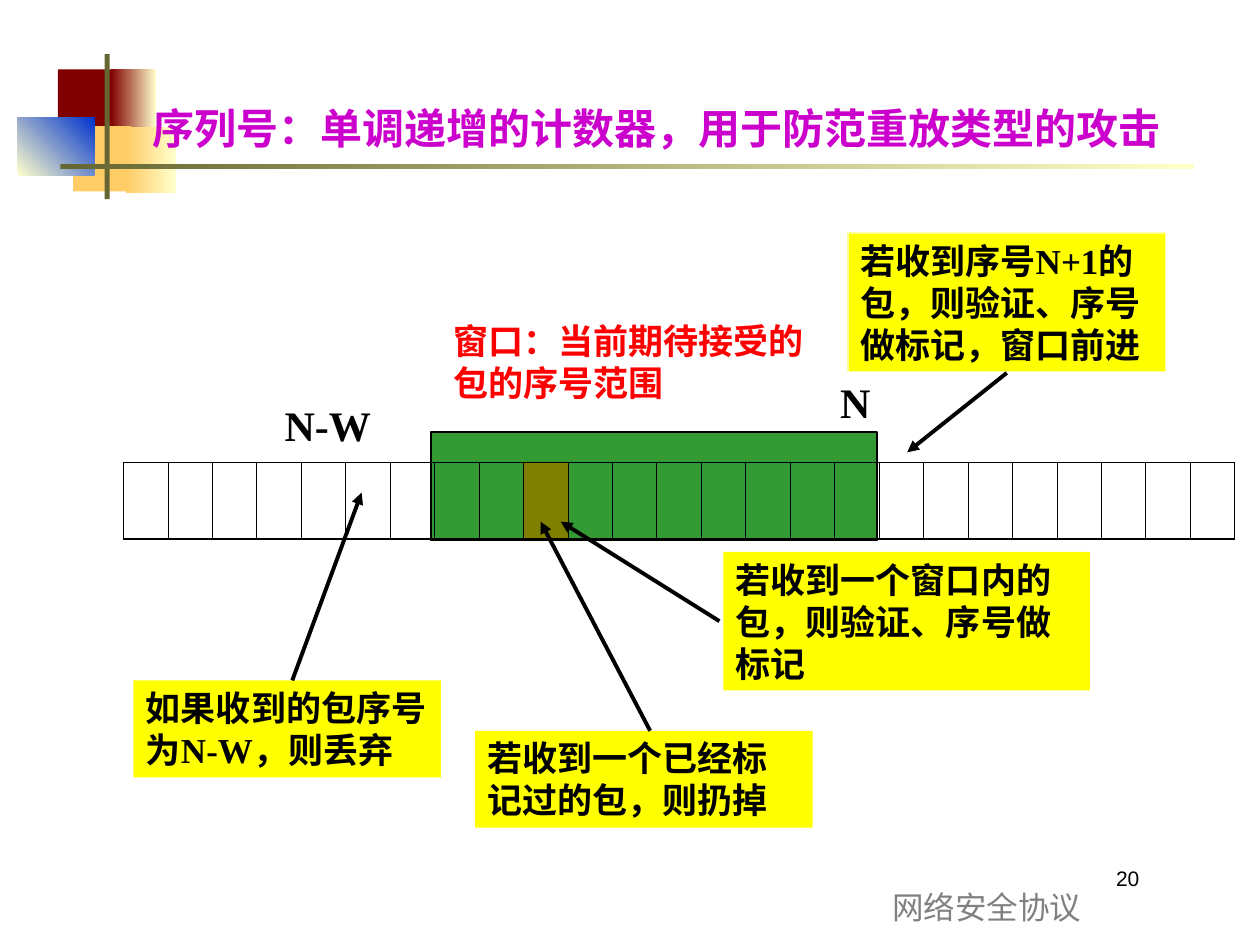
from pptx import Presentation
from pptx.dml.color import RGBColor
from pptx.enum.shapes import MSO_CONNECTOR, MSO_SHAPE
from pptx.enum.text import MSO_ANCHOR, PP_ALIGN
from pptx.oxml.ns import qn
from pptx.util import Inches, Pt
from lxml import etree

RECTANGLE = MSO_SHAPE.RECTANGLE
STRAIGHT = MSO_CONNECTOR.STRAIGHT
TOP, MIDDLE = MSO_ANCHOR.TOP, MSO_ANCHOR.MIDDLE
LEFT, CENTER = PP_ALIGN.LEFT, PP_ALIGN.CENTER

THEME = {
    "black": "000000", "red": "FF0000", "title": "CC00CC", "footer": "808080",
    "note": "FFFF00", "note_edge": "FFFF99", "window": "339933", "marked": "808000",
    "maroon": "800000", "cream": "FFFFCC", "orange": "FFCC66", "blue": "0033CC",
    "olive": "666633",
    "sans": "Arial", "serif": "Times New Roman", "chinese": "Noto Sans CJK SC",
    "number_size": 12, "footer_size": 18, "note_size": 20, "label_size": 24,
    "note_leading": 24, "thin": 0.45, "edge": 1.08, "arrow": 2.25,
}

TITLE = ("序列号：单调递增的计数器，用于防范重放类型的攻击", (1.11, 0.6, 8.5, 0.66))

# Place, colours from start to end, gradient angle
ORNAMENTS = [
    ((0.46, 0.55, 0.48, 0.52), ["maroon"], 0),
    ((0.88, 0.55, 0.36, 0.52), ["maroon", "cream"], 0),
    ((0.58, 1, 0.46, 0.52), ["orange"], 0),
    ((1, 1.01, 0.4, 0.52), ["orange", "cream"], 0),
    ((0.14, 0.93, 0.61, 0.46), ["cream", "blue"], 45),
    ((0.83, 0.43, 0.04, 1.15), ["olive"], 0),
    ((0.48, 1.3, 9, 0.04), ["olive", "cream"], 0),
]

WINDOW = (3.42, 3.43, 3.54, 0.86)
SEQUENCE = (0.98, 3.67, 8.82, 0.61)
SLOTS, MARKED_SLOT = 25, 9

# Text, place, edge colour
NOTES = [
    ("如果收到的包序号为N-W，则丢弃", (1.06, 5.4, 2.44, 0.77), None),
    ("若收到一个窗口内的包，则验证、序号做标记", (5.74, 4.38, 2.91, 1.1), None),
    ("若收到一个已经标记过的包，则扔掉", (3.77, 5.8, 2.68, 0.77), None),
    ("若收到序号N+1的包，则验证、序号做标记，窗口前进", (6.73, 1.85, 2.52, 1.1), "note_edge"),
]
LABELS = [("N", (6.57, 2.94, 0.47, 0.5)), ("N-W", (2.16, 3.12, 1.18, 0.5))]
WINDOW_CAPTION = ("窗口：当前期待接受的包的序号范围", (3.5, 2.49, 3.15, 0.77))
PAGE_NUMBER = ("20", (8.76, 6.82, 0.96, 0.3))
FOOTER = ("网络安全协议", (6.88, 7, 1.9, 0.25))

ARROWS = [
    ((2.32, 5.4), (2.87, 3.91)),
    ((5.71, 4.93), (4.45, 4.14)),
    ((5.16, 5.8), (4.29, 4.14)),
    ((7.99, 2.96), (7.2, 3.59)),
]


def color(name):
    return RGBColor.from_string(THEME[name])


def inches(values):
    return [Inches(value) for value in values]


def write(shape, text, size, ink="black", face="serif", bold=True, wrap=True,
          anchor=TOP, **paragraph_format):
    frame = shape.text_frame
    frame_format = {
        "word_wrap": wrap, "vertical_anchor": anchor,
        "margin_left": Inches(0.1), "margin_right": Inches(0.1),
        "margin_top": Inches(0.05), "margin_bottom": Inches(0.05),
    }
    for name, value in frame_format.items():
        setattr(frame, name, value)
    para = frame.paragraphs[0]
    for name, value in {"alignment": LEFT, "space_before": Pt(0), **paragraph_format}.items():
        setattr(para, name, value)
    span = para.add_run()
    span.text = text
    font_format = {"name": THEME[face], "size": Pt(THEME[size]), "bold": bold}
    for name, value in font_format.items():
        setattr(span.font, name, value)
    span.font.color.rgb = color(ink)
    etree.SubElement(span.font._element, qn("a:ea"), typeface=THEME["chinese"])


def add_block(page, place, inks, angle=0, edge=None):
    """Add a rectangle with a solid fill, or a gradient when two inks are given."""
    block = page.shapes.add_shape(RECTANGLE, *inches(place))
    block.shadow.inherit = False
    if len(inks) == 1:
        block.fill.solid()
        block.fill.fore_color.rgb = color(inks[0])
    else:
        block.fill.gradient()
        block.fill.gradient_angle = angle
        for stop, ink in zip(block.fill.gradient_stops, inks):
            stop.color.rgb = color(ink)
    if edge:
        block.line.color.rgb = color(edge)
        block.line.width = Pt(1)
    else:
        block.line.fill.background()
    return block


def add_text(page, content, size, **text_format):
    text, place = content
    write(page.shapes.add_textbox(*inches(place)), text, size, **text_format)


def set_borders(cell, widths):
    """Put border lines ahead of the fill, as the cell schema requires."""
    properties = cell._tc.get_or_add_tcPr()
    for index, (side, width) in enumerate(widths.items()):
        border = etree.Element(qn(f"a:ln{side}"), w=str(Pt(THEME[width])))
        fill = etree.SubElement(border, qn("a:solidFill"))
        etree.SubElement(fill, qn("a:srgbClr"), val=THEME["black"])
        properties.insert(index, border)


def add_sequence(page):
    table = page.shapes.add_table(1, SLOTS, *inches(SEQUENCE)).table
    table.first_row = table.horz_banding = False
    for slot, column in enumerate(table.columns):
        column.width = Inches(SEQUENCE[2] / SLOTS)
        cell = table.cell(0, slot)
        if slot == MARKED_SLOT:
            cell.fill.solid()
            cell.fill.fore_color.rgb = color("marked")
        else:
            cell.fill.background()
        set_borders(cell, {
            "L": "edge" if slot == 0 else "thin",
            "R": "edge" if slot == SLOTS - 1 else "thin",
            "T": "edge", "B": "edge",
        })


def add_arrow(page, start, end):
    arrow = page.shapes.add_connector(STRAIGHT, *inches(start + end))
    arrow.line.color.rgb = color("black")
    arrow.line.width = Pt(THEME["arrow"])
    etree.SubElement(arrow.line._get_or_add_ln(), qn("a:tailEnd"), type="triangle")
    etree.SubElement(arrow._element.spPr, qn("a:effectLst"))


def main():
    deck = Presentation()
    deck.slide_width, deck.slide_height = inches((10, 7.5))
    page = deck.slides.add_slide(deck.slide_layouts[5])

    for place, inks, angle in ORNAMENTS:
        add_block(page, place, inks, angle)
    add_block(page, WINDOW, ["window"], edge="black")
    add_sequence(page)

    for text, place, edge in NOTES:
        write(add_block(page, place, ["note"], edge=edge), text, "note_size",
              line_spacing=Pt(THEME["note_leading"]))
    for label in LABELS:
        add_text(page, label, "label_size")
    add_text(page, WINDOW_CAPTION, "note_size", ink="red",
             line_spacing=Pt(THEME["note_leading"]))
    for start, end in ARROWS:
        add_arrow(page, start, end)

    add_text(page, PAGE_NUMBER, "number_size", face="sans", bold=False)
    add_text(page, FOOTER, "footer_size", ink="footer", face="chinese", bold=False,
             alignment=CENTER)

    title = page.shapes.title
    text, place = TITLE
    title.left, title.top, title.width, title.height = inches(place)
    write(title, text, "label_size", ink="title", face="sans",
          anchor=MIDDLE, line_spacing=1.4)
    page.shapes._spTree.append(title._element)

    deck.save("out.pptx")


if __name__ == "__main__":
    main()
